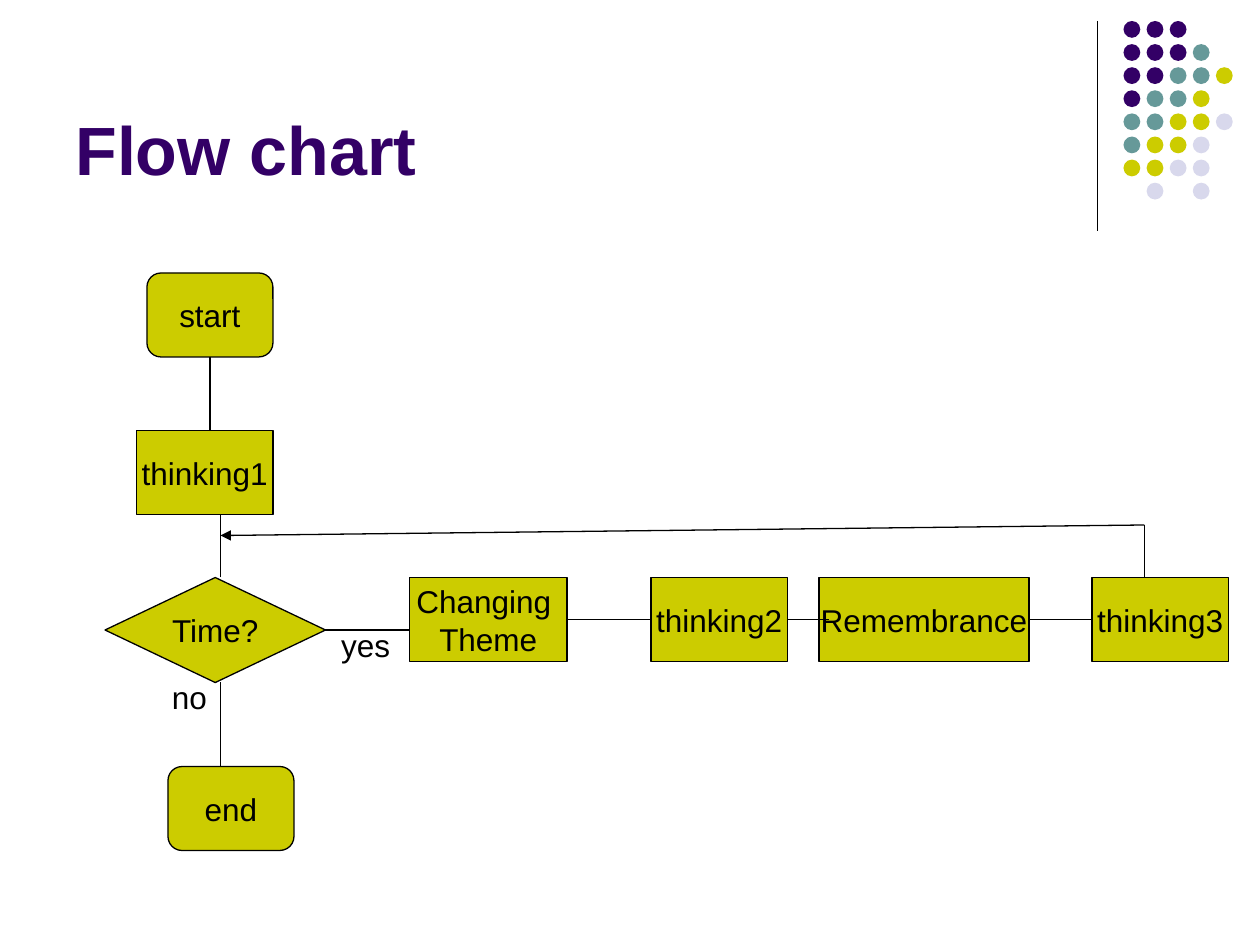
from pptx import Presentation
from pptx.dml.color import RGBColor as RGB
from pptx.enum.shapes import MSO_CONNECTOR as Link, MSO_SHAPE as Kind
from pptx.enum.text import MSO_ANCHOR as Anchor, PP_ALIGN as Align
from pptx.oxml.ns import qn
from pptx.util import Emu, Pt
from lxml.etree import SubElement as Sub

PX = 7620
HUES = {"P": "330066", "T": "669999", "Y": "CCCC00", "L": "D8D8EC", "ink": "000000"}


def write(shape, text, size=18, hue="ink", bold=False, align=Align.LEFT, anchor=Anchor.TOP, wrap=False):
    frame = shape.text_frame
    frame.text = text
    frame.word_wrap = wrap
    frame.vertical_anchor = anchor
    for para in frame.paragraphs:
        para.alignment = align
        for run in para.runs:
            run.font.name = "Arial"
            run.font.size = Pt(size)
            run.font.bold = bold
            run.font.color.rgb = RGB.from_string(HUES[hue])


def paint(kind, box, hue):
    shape = slide.shapes.add_shape(kind, *[Emu(v * PX) for v in box])
    shape.shadow.inherit = False
    shape.fill.solid()
    shape.fill.fore_color.rgb = RGB.from_string(HUES[hue])
    return shape


deck = Presentation()
deck.slide_width, deck.slide_height = Emu(1200 * PX), Emu(900 * PX)
slide = deck.slides.add_slide(deck.slide_layouts[6])

DOTS = ["PPP", "PPPT", "PPTTY", "PTTY", "TTYYL", "TYYL", "YYLL", " L L"]
for row, line in enumerate(DOTS):
    for col, hue in enumerate(line):
        if hue != " ":
            dot = paint(Kind.OVAL, (1070 + 22 * col, 20 + 22 * row, 16, 16), hue)
            dot.line.fill.background()

LABELS = [
    ("Flow chart", (60, 16, 990, 170), dict(size=39, hue="P", bold=True, anchor=Anchor.BOTTOM, wrap=True)),
    ("no", (152, 640, 58, 48), {}),
    ("yes", (313, 590, 71, 48), {}),
]
for text, box, style in LABELS:
    label = slide.shapes.add_textbox(*[Emu(v * PX) for v in box])
    write(label, text, **style)

ROUND = Kind.FLOWCHART_ALTERNATE_PROCESS
STEP = Kind.FLOWCHART_PROCESS
NODES = [
    ("start", ROUND, (140, 260, 120, 80)),
    ("end", ROUND, (160, 730, 120, 80)),
    ("Time?", Kind.FLOWCHART_DECISION, (100, 550, 210, 100)),
    ("thinking1", STEP, (130, 410, 130, 80)),
    ("Changing \nTheme", STEP, (390, 550, 150, 80)),
    ("thinking2", STEP, (620, 550, 130, 80)),
    ("Remembrance", STEP, (780, 550, 200, 80)),
    ("thinking3", STEP, (1040, 550, 130, 80)),
]
for text, kind, box in NODES:
    node = paint(kind, box, "Y")
    node.line.color.rgb = RGB.from_string(HUES["ink"])
    node.line.width = Pt(0.75)
    write(node, text, align=Align.CENTER, anchor=Anchor.MIDDLE)

LINES = [
    (1045, 20, 1045, 220),
    (200, 340, 200, 410),
    (210, 550, 210, 490),
    (210, 650, 210, 690),
    (210, 690, 210, 730),
    (310, 600, 390, 600),
    (540, 590, 620, 590),
    (750, 590, 790, 590),
    (980, 590, 1040, 590),
    (1090, 550, 1090, 500),
    (1090, 500, 210, 510),
]
for ends in LINES:
    link = slide.shapes.add_connector(Link.STRAIGHT, *[Emu(v * PX) for v in ends])
    link.line.color.rgb = RGB.from_string(HUES["ink"])
    link.line.width = Pt(0.75)
    Sub(link._element.spPr, qn("a:effectLst"))
Sub(link.line._get_or_add_ln(), qn("a:tailEnd"), type="triangle")

deck.save("out.pptx")
